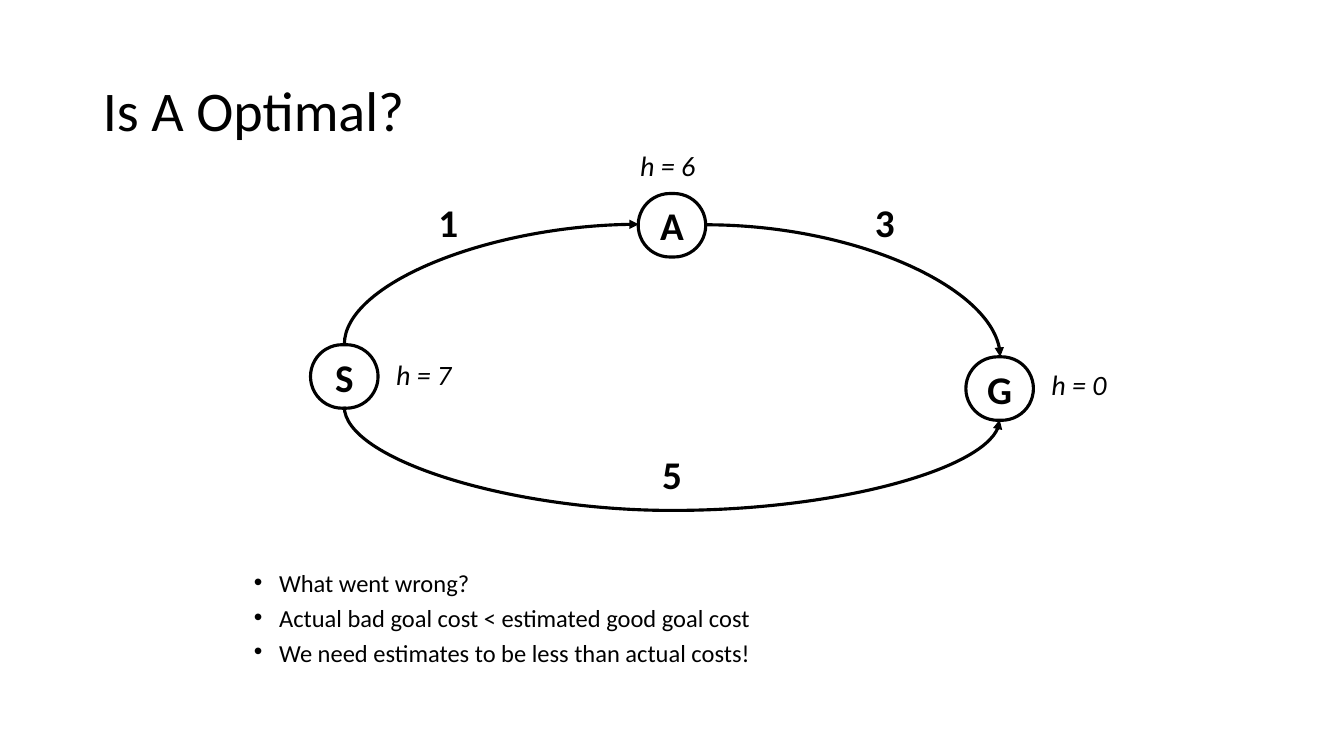
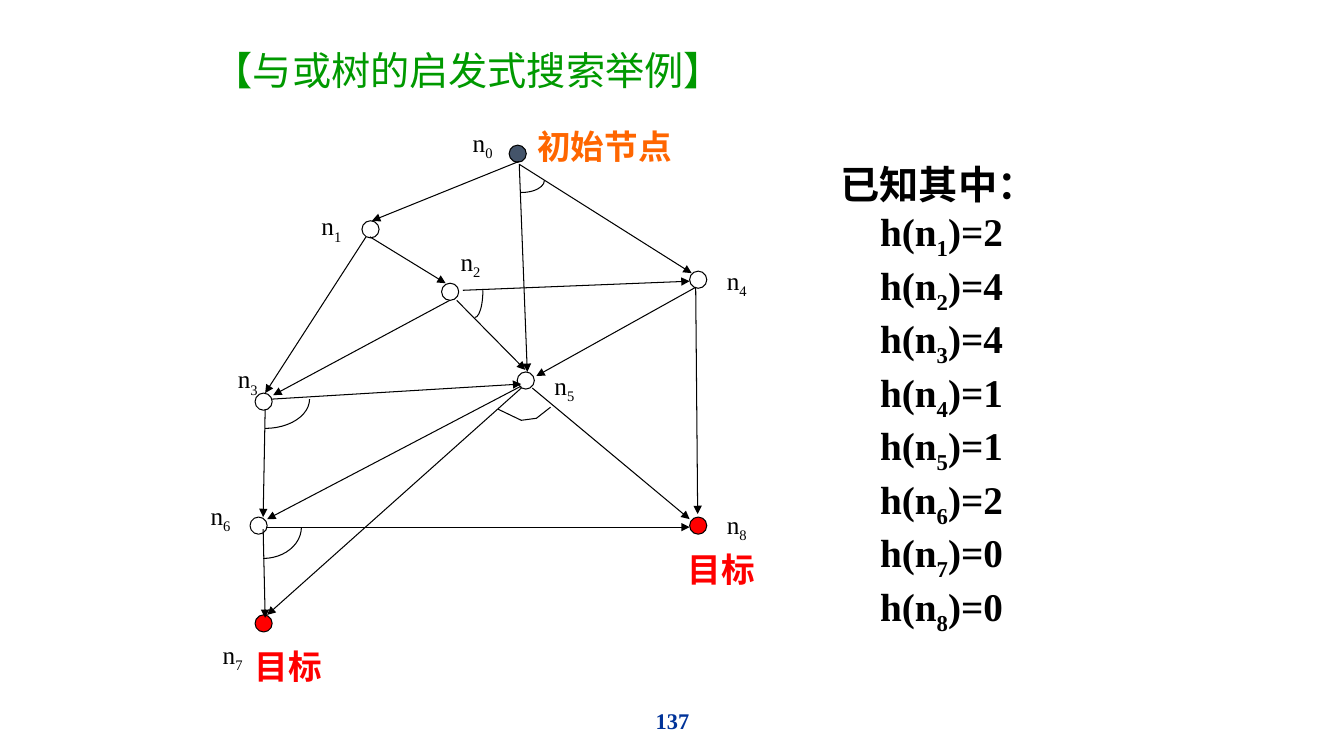
from lxml import etree
from pptx import Presentation
from pptx.dml.color import RGBColor
from pptx.enum.shapes import MSO_CONNECTOR, MSO_SHAPE
from pptx.enum.text import MSO_ANCHOR, MSO_AUTO_SIZE, PP_ALIGN
from pptx.oxml.ns import qn
from pptx.util import Inches, Pt

LEFT, CENTER = PP_ALIGN.LEFT, PP_ALIGN.CENTER
TOP, MIDDLE = MSO_ANCHOR.TOP, MSO_ANCHOR.MIDDLE
GROW, FIXED = MSO_AUTO_SIZE.SHAPE_TO_FIT_TEXT, MSO_AUTO_SIZE.NONE
STRAIGHT, CURVE = MSO_CONNECTOR.STRAIGHT, MSO_CONNECTOR.CURVE
OVAL, ARC, PILL = MSO_SHAPE.OVAL, MSO_SHAPE.ARC, MSO_SHAPE.ROUNDED_RECTANGLE
TITLE_ONLY = 5
SIDE_TOP, SIDE_LEFT, SIDE_BOTTOM, SIDE_RIGHT = range(4)

# Shared palette and fonts
BLACK, SLATE, RED, ORANGE = "000000", "44546A", "FF0000", "FF6600"
GREEN, NAVY = "009900", "003399"
SANS, SERIF, CJK = "Calibri", "Times New Roman", "Noto Sans CJK SC"

# Slide 1: state (left, top)
STATES = {"A": (6.33, 1.92), "G": (9.58, 3.54), "S": (3.08, 3.42)}
STATE_W, STATE_H = 0.67, 0.63
# from, side, to, side, preset, box, rotation, flips, bend
EDGES = [
    ("S", SIDE_BOTTOM, "G", SIDE_BOTTOM, "curvedConnector3",
     (6.6, 0.85, 0.13, 6.5), 270, ["flipH"], 792300),
    ("S", SIDE_TOP, "A", SIDE_LEFT, "curvedConnector2",
     (4.28, 1.36, 1.19, 2.92), 90, ["flipH", "flipV"], None),
    ("A", SIDE_RIGHT, "G", SIDE_TOP, "curvedConnector2",
     (7, 2.23, 2.92, 1.31), 0, [], None),
]
COSTS = [("1", 4.25, 1.92, 0.5, LEFT), ("3", 8.58, 1.92, 0.5, LEFT),
         ("5", 0, 4.42, 13.33, CENTER)]
ESTIMATES = [("6", 6.25, 1.42, 1), ("0", 10.33, 3.6, 1), ("7", 3.83, 3.5, 0.83)]
BULLETS = ["What went wrong?",
           "Actual bad goal cost < estimated good goal cost",
           "We need estimates to be less than actual costs!"]

# Slide 2: n0 to n8 as node left, top, label left, top, fill
DOT = 0.17
TREE_NODES = [
    (5.05, 1.44, 4.59, 1.23, SLATE), (3.59, 2.19, 3.09, 2.06, None),
    (4.38, 2.81, 4.47, 2.41, None), (2.53, 3.9, 2.26, 3.58, None),
    (6.84, 2.69, 7.11, 2.6, None), (5.13, 3.69, 5.4, 3.64, None),
    (2.48, 5.13, 1.99, 4.93, None), (2.53, 6.1, 2.11, 6.31, RED),
    (6.84, 5.13, 7.11, 5.02, RED),
]
TREE_ARROWS = [
    (5.15, 1.6, 3.69, 2.19), (5.15, 1.63, 5.23, 3.69), (5.15, 1.63, 6.86, 2.71),
    (3.63, 2.35, 2.63, 3.9), (3.67, 2.35, 4.42, 2.81), (4.53, 2.98, 5.21, 3.67),
    (4.59, 2.88, 6.84, 2.79), (2.69, 3.96, 5.17, 3.81), (2.63, 4.06, 2.61, 5.13),
    (6.9, 2.85, 5.32, 3.73), (6.9, 2.85, 6.92, 5.1), (5.17, 3.83, 2.65, 5.15),
    (5.17, 3.85, 2.65, 6.1), (5.28, 3.85, 6.84, 5.15), (2.65, 5.23, 6.84, 5.23),
    (2.61, 5.25, 2.63, 6.13), (4.46, 2.98, 2.71, 3.92),
]
# AND marks: corner x, y, width, height of each quarter arc
AND_ARCS = [(5.17, 1.79, 0.23, 0.12), (4.71, 2.88, 0.08, 0.27),
            (2.63, 3.96, 0.44, 0.29), (2.61, 5.23, 0.38, 0.31)]
AND_BEND = [(4.94, 4.06), (5.17, 4.17), (5.32, 4.15), (5.46, 4.04)]
CAPTIONS = [("目标", 2.43, 6.35, 0.88, RED), ("目标", 6.72, 5.39, 0.88, RED),
            ("初始节点", 5.23, 1.19, 1.54, ORANGE)]
H_VALUES = [2, 4, 4, 1, 1, 2, 0, 0]


def rgb(color):
    return RGBColor.from_string(color)


def box(*lengths):
    return [Inches(v) for v in lengths]


def add_run(p, text, color=BLACK, sub=False, **fmt):
    """Append a run; fmt holds font attributes."""
    r = p.add_run()
    r.text = text
    for key, value in fmt.items():
        setattr(r.font, key, value)
    r.font.color.rgb = rgb(color)
    rPr = r._r.get_or_add_rPr()
    if sub:
        rPr.set("baseline", "-25000")
    etree.SubElement(rPr, qn("a:ea")).set("typeface", CJK)


def write(tf, lines, align=LEFT, spacing=None, **fmt):
    """Fill a frame; each line is a list of (text, overrides)."""
    for i, line in enumerate(lines):
        p = tf.add_paragraph() if i else tf.paragraphs[0]
        p.alignment = align
        if spacing:
            p.line_spacing = spacing
        for text, extra in line:
            add_run(p, text, **{**fmt, **extra})


def add_text(slide, at, lines, anchor=TOP, wrap=True, auto_size=GROW, **fmt):
    tf = slide.shapes.add_textbox(*box(*at)).text_frame
    for key, value in dict(word_wrap=wrap, vertical_anchor=anchor,
                           auto_size=auto_size).items():
        setattr(tf, key, value)
    write(tf, lines, **fmt)
    return tf


def set_indent(p, left, first=0):
    pPr = p._p.get_or_add_pPr()
    pPr.set("marL", str(Inches(left)))
    pPr.set("indent", str(Inches(first)))
    return pPr


def add_slide(prs, title, at, **fmt):
    slide = prs.slides.add_slide(prs.slide_layouts[TITLE_ONLY])
    sp = slide.shapes.title
    sp.left, sp.top, sp.width, sp.height = box(*at)
    tf = sp.text_frame
    tf.vertical_anchor, tf.auto_size, tf.word_wrap = MIDDLE, FIXED, True
    write(tf, [[(title, {})]], spacing=0.9, **fmt)
    return slide


def outline(sp, width, fill=None):
    sp.shadow.inherit = False
    if fill:
        sp.fill.solid()
        sp.fill.fore_color.rgb = rgb(fill)
    else:
        sp.fill.background()
    sp.line.color.rgb = rgb(BLACK)
    sp.line.width = Pt(width)


def add_shape(slide, kind, at, width, fill=None):
    sp = slide.shapes.add_shape(kind, *box(*at))
    outline(sp, width, fill)
    return sp


def add_arrow(slide, kind, ends, width):
    con = slide.shapes.add_connector(kind, *box(*ends))
    con.line.color.rgb = rgb(BLACK)
    con.line.width = Pt(width)
    etree.SubElement(con.line._ln, qn("a:tailEnd")).set("type", "triangle")
    etree.SubElement(con._element.spPr, qn("a:effectLst"))
    return con


def add_state(slide, name, left, top):
    sp = add_shape(slide, PILL, (left, top, STATE_W, STATE_H), 2.25)
    sp.adjustments[0] = 0.5
    tf = sp.text_frame
    tf.word_wrap, tf.vertical_anchor = False, MIDDLE
    write(tf, [[(name, {})]], CENTER, name=SANS, size=Pt(28), bold=True)
    return sp


def add_curve(slide, start, start_side, end, end_side, preset, at, turn, flips, bend):
    con = add_arrow(slide, CURVE, (0, 0, 1, 1), 2.25)
    con.begin_connect(start, start_side)
    con.end_connect(end, end_side)
    # Route of the curve
    con.left, con.top, con.width, con.height = box(*at)
    spPr = con._element.spPr
    xfrm = spPr.find(qn("a:xfrm"))
    for flip in ("flipH", "flipV"):
        xfrm.set(flip, str(int(flip in flips)))
    xfrm.set("rot", str(turn * 60000))
    geom = spPr.find(qn("a:prstGeom"))
    geom.set("prst", preset)
    if bend:
        guide = etree.SubElement(geom.find(qn("a:avLst")), qn("a:gd"))
        guide.set("name", "adj1")
        guide.set("fmla", f"val {bend}")


def add_bullets(slide, at, items, **fmt):
    tf = add_text(slide, at, [[(item, {})] for item in items],
                  auto_size=FIXED, spacing=0.7, **fmt)
    for i, p in enumerate(tf.paragraphs):
        p.space_before = Pt(10 if i else 0)
        pPr = set_indent(p, 0.25, -0.25)
        etree.SubElement(pPr, qn("a:buFont")).set("typeface", "Arial")
        etree.SubElement(pPr, qn("a:buChar")).set("char", "•")


def build_optimality(prs):
    slide = add_slide(prs, "Is A Optimal?", (0.92, 0.4, 11.5, 1.45),
                      name=SANS, size=Pt(40))
    add_bullets(slide, (2.42, 5.67, 10.47, 1.03), BULLETS, name=SANS, size=Pt(17.5))
    # Graph
    states = {name: add_state(slide, name, *pos) for name, pos in STATES.items()}
    for start, start_side, end, end_side, *route in EDGES:
        add_curve(slide, states[start], start_side, states[end], end_side, *route)
    # Costs and estimates
    for cost, left, top, width, align in COSTS:
        add_text(slide, (left, top, width, 0.57), [[(cost, {})]], align=align,
                 name=SANS, size=Pt(28), bold=True)
    for value, left, top, width in ESTIMATES:
        add_text(slide, (left, top, width, 0.44), [[(f"h = {value}", {})]],
                 name=SANS, size=Pt(20), italic=True)


def build_tree(prs):
    slide = add_slide(prs, "【与或树的启发式搜索举例】", (2.02, 0.35, 6.22, 0.74),
                      name=CJK, size=Pt(28), color=GREEN)
    add_text(slide, (4.42, 6.95, 4.5, 0.4), [[("137", {})]], MIDDLE, auto_size=FIXED,
             align=CENTER, name=SERIF, size=Pt(16), bold=True, color=NAVY)
    # Known estimates
    lines = [[("已知其中：", {})]]
    lines += [[("h(n", {}), (str(i), {"sub": True}), (f")={h}", {})]
              for i, h in enumerate(H_VALUES, 1)]
    tf = add_text(slide, (8.24, 1.78, 2.03, 4.34), lines, MIDDLE,
                  name=SERIF, size=Pt(28), bold=True)
    for p in tf.paragraphs[1:]:
        set_indent(p, 0.39)
    # Nodes, labels and arrows
    for i, (left, top, label_left, label_top, fill) in enumerate(TREE_NODES):
        add_shape(slide, OVAL, (left, top, DOT, DOT), 0.75, fill)
        add_text(slide, (label_left, label_top, 0.41, 0.4),
                 [[("n", {}), (str(i), {"sub": True})]], MIDDLE, wrap=False,
                 name=SERIF, size=Pt(18))
    for ends in TREE_ARROWS:
        add_arrow(slide, STRAIGHT, ends, 0.75)
    # AND marks
    for x, y, w, h in AND_ARCS:
        sp = add_shape(slide, ARC, (x - w, y - h, 2 * w, 2 * h), 0.75)
        sp.adjustments[0], sp.adjustments[1] = 0, 54  # 0 to 90 degrees
    points = [box(*point) for point in AND_BEND]
    builder = slide.shapes.build_freeform(*points[0])
    builder.add_line_segments(points[1:], close=False)
    outline(builder.convert_to_shape(), 0.75)
    # Captions
    for text, left, top, width, color in CAPTIONS:
        add_text(slide, (left, top, width, 0.51), [[(text, {})]], MIDDLE, wrap=False,
                 name=SERIF, size=Pt(24), bold=True, color=color)


def main():
    prs = Presentation()
    prs.slide_width, prs.slide_height = box(13.33, 7.5)
    build_optimality(prs)
    build_tree(prs)
    prs.save("out.pptx")


if __name__ == "__main__":
    main()
